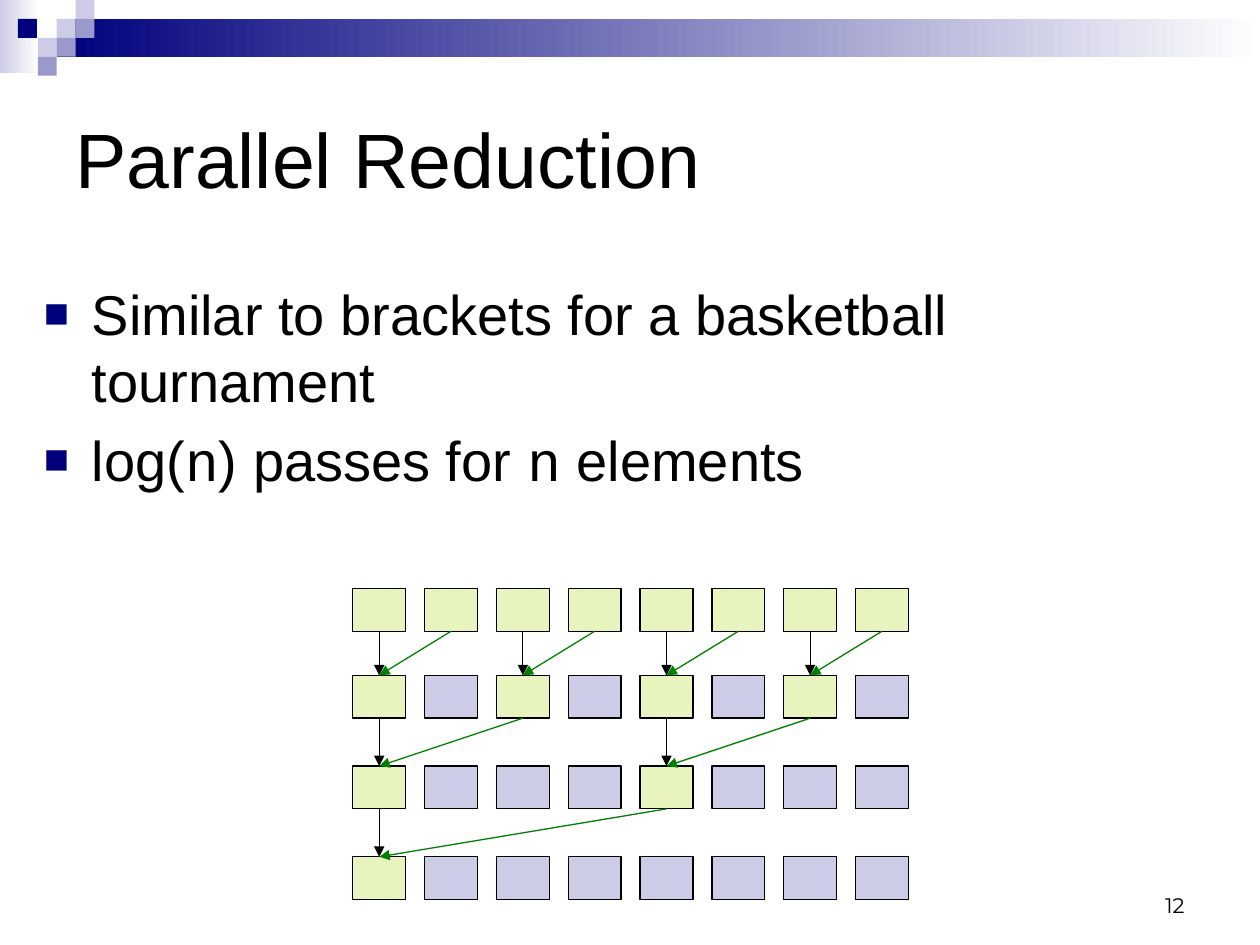
from typing import NamedTuple

from lxml.etree import SubElement
from pptx import Presentation
from pptx.dml.color import RGBColor
from pptx.enum.shapes import MSO_CONNECTOR, MSO_SHAPE
from pptx.enum.text import MSO_ANCHOR, PP_ALIGN
from pptx.oxml.ns import qn
from pptx.util import Inches, Pt

NAVY = RGBColor(0x00, 0x00, 0x7D)
LILAC = RGBColor(0xCC, 0xCC, 0xE6)
VIOLET = RGBColor(0x99, 0x99, 0xCC)
LIME = RGBColor(0xE7, 0xF4, 0xBE)
GREEN = RGBColor(0x00, 0x80, 0x00)
BLACK = RGBColor(0x00, 0x00, 0x00)
WHITE = RGBColor(0xFF, 0xFF, 0xFF)


class Area(NamedTuple):
    left: float
    top: float
    width: float
    height: float


class Tile(NamedTuple):
    col: float
    row: float
    color: RGBColor


# Header mosaic, counted in tiles
UNIT = 0.15
TILES = [
    Tile(3, 1, LILAC), Tile(4, 0, LILAC), Tile(4, 1, VIOLET), Tile(2, 2, LILAC),
    Tile(0.95, 1, NAVY), Tile(3, 2, VIOLET), Tile(2, 3, VIOLET),
]

# Reduction grid
COLS = 8
LEFT, STEP = 2.8, 0.57
TOPS = [4.67, 5.36, 6.08, 6.8]
CELL_W, CELL_H = 0.42, 0.34

BULLETS = [
    [("Similar to brackets for a basketball tournament", "Arial")],
    [("log(", "Arial"), ("n", "Courier New"), (") passes for ", "Arial"),
     ("n", "Courier New"), (" elements", "Arial")],
]


def add_rect(slide, area: Area, color: RGBColor):
    rect = slide.shapes.add_shape(MSO_SHAPE.RECTANGLE, *map(Inches, area))
    rect.shadow.inherit = False
    rect.fill.solid()
    rect.fill.fore_color.rgb = color
    rect.line.fill.background()
    return rect


def add_fade(slide, area: Area, color: RGBColor) -> None:
    fill = add_rect(slide, area, color).fill
    fill.gradient()
    fill.gradient_angle = 0
    for stop, tint in zip(fill.gradient_stops, (color, WHITE)):
        stop.color.rgb = tint


def add_cell(slide, col: int, row: int, color: RGBColor):
    area = Area(LEFT + col * STEP, TOPS[row], CELL_W, CELL_H)
    cell = add_rect(slide, area, color)
    cell.line.color.rgb = BLACK
    cell.line.width = Pt(0.75)
    return cell


def add_arrow(slide, start, end, color: RGBColor) -> None:
    arrow = slide.shapes.add_connector(MSO_CONNECTOR.STRAIGHT, 0, 0, 0, 0)
    arrow.begin_connect(start, 2)
    arrow.end_connect(end, 0)
    arrow.line.color.rgb = color
    arrow.line.width = Pt(0.75)
    SubElement(arrow.line._get_or_add_ln(), qn("a:tailEnd"), type="triangle")
    SubElement(arrow._element.spPr, qn("a:effectLst"))


def add_frame(slide, area: Area, anchor: MSO_ANCHOR):
    frame = slide.shapes.add_textbox(*map(Inches, area)).text_frame
    frame.word_wrap = True
    frame.vertical_anchor = anchor
    return frame


def set_font(para, size: int) -> None:
    para.font.size = Pt(size)
    para.font.color.rgb = BLACK


def add_label(slide, area: Area, text: str, size: int, face: str,
              anchor: MSO_ANCHOR, align: PP_ALIGN) -> None:
    para = add_frame(slide, area, anchor).paragraphs[0]
    para.text = text
    para.alignment = align
    set_font(para, size)
    para.font.name = face


def set_bullet(para) -> None:
    props = para._p.get_or_add_pPr()
    props.set("marL", str(Inches(0.38)))
    props.set("indent", str(-Inches(0.38)))
    color = SubElement(props, qn("a:buClr"))
    SubElement(color, qn("a:srgbClr"), val=str(NAVY))
    SubElement(props, qn("a:buSzPct"), val="75000")
    SubElement(props, qn("a:buFont"), typeface="Arial")
    SubElement(props, qn("a:buChar"), char="■")


def add_list(slide, area: Area) -> None:
    frame = add_frame(slide, area, MSO_ANCHOR.TOP)
    for i, parts in enumerate(BULLETS):
        para = frame.add_paragraph() if i else frame.paragraphs[0]
        set_bullet(para)
        if i:
            para.space_before = Pt(6.4)
        set_font(para, 32)
        for text, face in parts:
            run = para.add_run()
            run.text = text
            run.font.name = face


def add_header(slide) -> None:
    add_fade(slide, Area(0, 0, 0.31, 0.58), LILAC)
    add_fade(slide, Area(3 * UNIT, UNIT, 10 - 3 * UNIT, 2 * UNIT), NAVY)
    for col, row, color in TILES:
        add_rect(slide, Area(col * UNIT, row * UNIT, UNIT, UNIT), color)


def add_tree(slide) -> None:
    # Each pass keeps every second live cell of the row above
    grid = [[add_cell(slide, col, row, LILAC if col % 2 ** row else LIME)
             for col in range(COLS)] for row in range(len(TOPS))]
    for row, (upper, lower) in enumerate(zip(grid, grid[1:])):
        gap = 2 ** row
        for col in range(0, COLS, 2 * gap):
            add_arrow(slide, upper[col], lower[col], BLACK)
            add_arrow(slide, upper[col + gap], lower[col], GREEN)


def main() -> None:
    deck = Presentation()
    deck.slide_width, deck.slide_height = Inches(10), Inches(7.5)
    slide = deck.slides.add_slide(deck.slide_layouts[6])
    add_header(slide)
    # Title and bullets
    add_label(slide, Area(0.5, 0.5, 9, 1.5), "Parallel Reduction", 44, "Arial",
              MSO_ANCHOR.MIDDLE, PP_ALIGN.LEFT)
    add_list(slide, Area(0.25, 2.17, 9.7, 4.25))
    add_tree(slide)
    # Slide number
    add_label(slide, Area(7.17, 6.83, 2.33, 0.5), "12", 12, "Montserrat",
              MSO_ANCHOR.BOTTOM, PP_ALIGN.RIGHT)
    deck.save("out.pptx")


if __name__ == "__main__":
    main()
